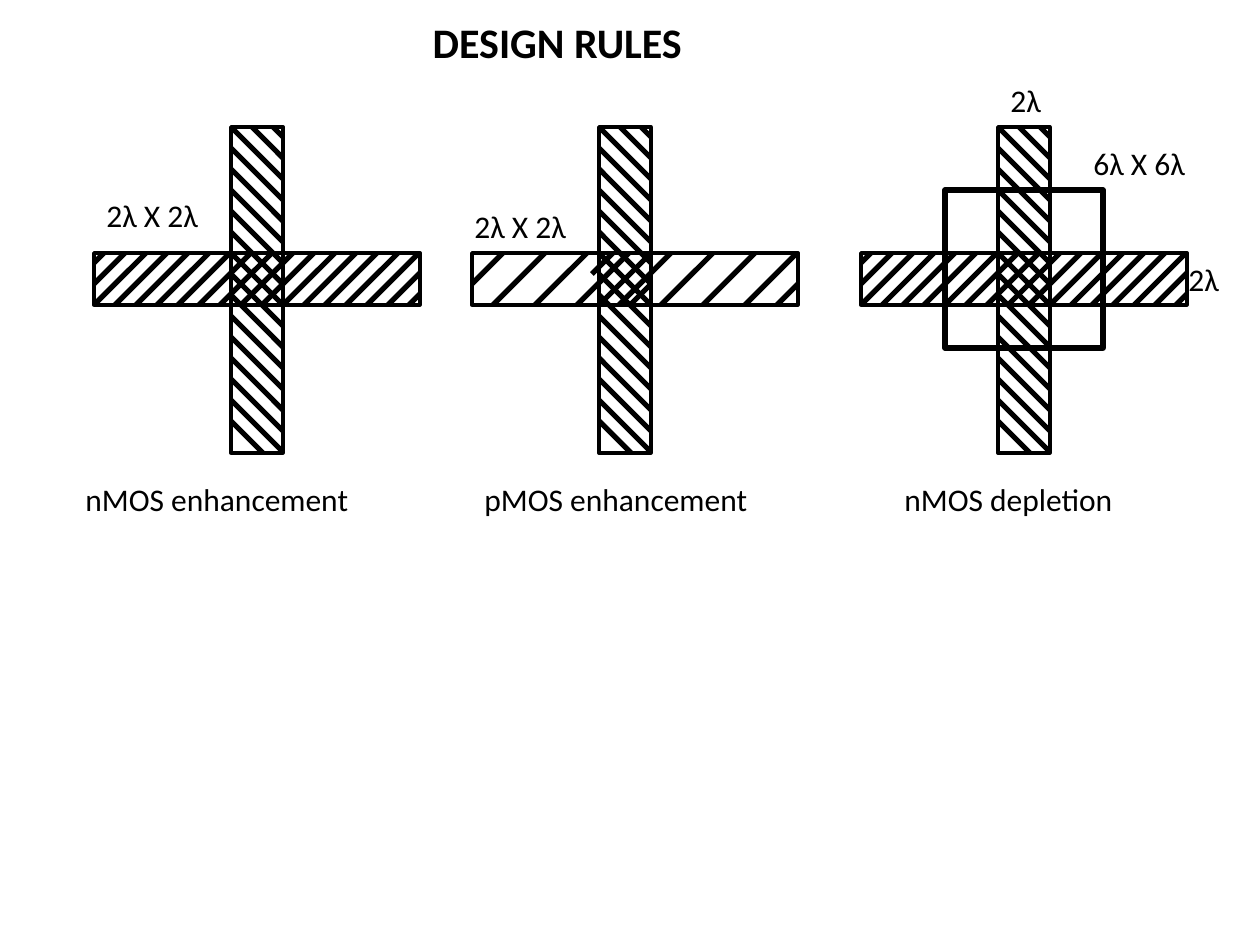
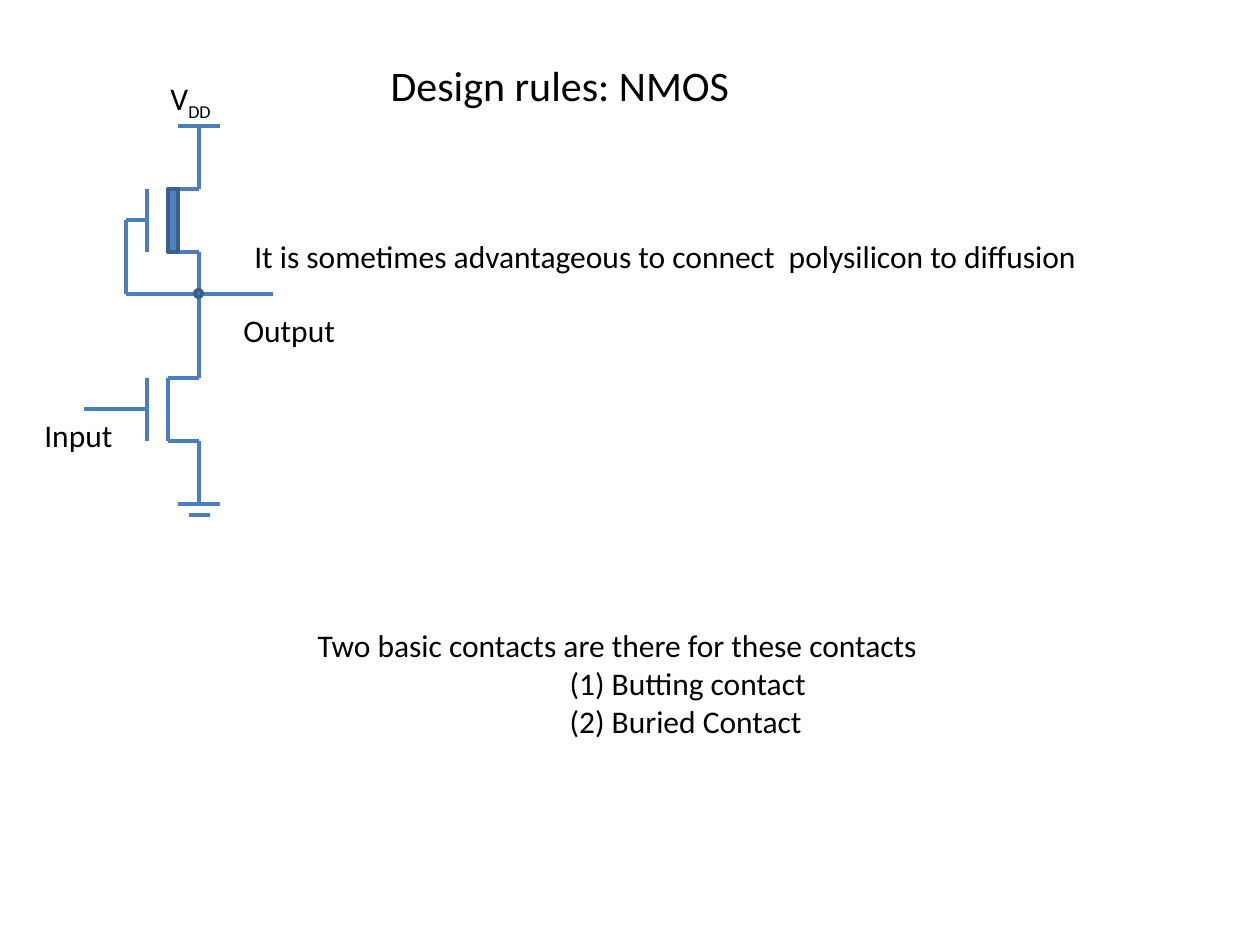
from pptx import Presentation
from pptx.dml.color import RGBColor
from pptx.enum.shapes import MSO_CONNECTOR, MSO_SHAPE
from pptx.enum.text import MSO_ANCHOR, MSO_AUTO_SIZE, PP_ALIGN
from pptx.oxml.ns import qn
from pptx.util import Inches, Pt
from lxml import etree

RECT, OVAL = MSO_SHAPE.RECTANGLE, MSO_SHAPE.OVAL
LINE = MSO_CONNECTOR.STRAIGHT
BLACK = RGBColor(0, 0, 0)
WIRE = RGBColor(0x4B, 0x7E, 0xBC)
BLUE = RGBColor(0x4F, 0x81, 0xBD)
EDGE = RGBColor(0x3A, 0x5F, 0x8C)
SCALE = Inches(1) / 126

FRAME = {"word_wrap": True, "auto_size": MSO_AUTO_SIZE.SHAPE_TO_FIT_TEXT,
         "vertical_anchor": MSO_ANCHOR.TOP}
PARA = {"alignment": PP_ALIGN.LEFT, "space_before": Pt(0), "line_spacing": 1.0}
TEXT = {"name": "Calibri", "size": Pt(18), "bold": False}
HEAD = {**TEXT, "size": Pt(24)}

# Layout bars: one hatch pitch, thickness and length for all
PITCH, THICK, LONG = 21, 52, 326
BAR_TOP, POST_TOP = 253, 127


def px(n):
    """Turn pixels into EMU."""
    return round(n * SCALE)


def put(obj, vals):
    """Set each attribute named in a dict."""
    for key, val in vals.items():
        setattr(obj, key, val)


class Pen:
    """Holds the style and the current slide."""

    def __init__(self):
        """Open an empty 10 by 7.5 inch deck."""
        self.deck = Presentation()
        put(self.deck, {"slide_width": Inches(10), "slide_height": Inches(7.5)})
        self.ink, self.width = BLACK, 3

    def page(self, layout, ink, width):
        """Start a slide and choose its line style."""
        self.slide = self.deck.slides.add_slide(self.deck.slide_layouts[layout])
        self.home = self.host = self.slide.shapes
        self.ink, self.width = ink, width

    def group(self):
        """Send the next shapes to a new group."""
        self.host = self.home.add_group_shape().shapes

    def leave(self):
        """Send the next shapes to the slide itself."""
        self.host = self.home

    def place(self, shape, box):
        """Move a shape to a pixel box."""
        put(shape, dict(zip(("left", "top", "width", "height"), map(px, box))))

    def style(self, frame, font=TEXT):
        """Format a frame and all of its text."""
        put(frame, FRAME)
        for para in frame.paragraphs:
            put(para, PARA)
            for run in para.runs:
                put(run.font, font)
                run.font.color.rgb = BLACK

    def title(self, words, box, bold=False):
        """Fill and move the title placeholder."""
        shape = self.home.title
        self.place(shape, box)
        shape.text_frame.text = words
        self.style(shape.text_frame, {**HEAD, "bold": bold})

    def body(self, lines, box, indent):
        """Fill the body: a lead line, then indented items."""
        shape = self.slide.placeholders[1]
        self.place(shape, box)
        shape.text_frame.text = "\n".join(lines)
        self.style(shape.text_frame)
        for num, para in enumerate(shape.text_frame.paragraphs):
            props = para._p.get_or_add_pPr()
            props.set("marL", str(px(indent) if num else 0))
            props.set("indent", "0")
            etree.SubElement(props, qn("a:buNone"))

    def label(self, words, box, sub=""):
        """Add a text box, with a subscript if given."""
        frame = self.home.add_textbox(*map(px, box)).text_frame
        para = frame.paragraphs[0]
        para.add_run().text = words
        if sub:
            run = para.add_run()
            run.text = sub
            run._r.get_or_add_rPr().set("baseline", "-25000")
        self.style(frame)

    def line(self, *ends):
        """Draw a line through x1, y1, x2, y2."""
        line = self.host.add_connector(LINE, *map(px, ends))
        put(line.line, {"width": Pt(self.width)})
        line.line.color.rgb = self.ink
        etree.SubElement(line._element.spPr, qn("a:effectLst"))

    def shape(self, kind, box, edge, width, fill=None):
        """Draw a preset shape, hollow unless filled."""
        shape = self.host.add_shape(kind, *map(px, box))
        shape.shadow.inherit = False
        if fill is None:
            shape.fill.background()
        else:
            shape.fill.solid()
            shape.fill.fore_color.rgb = fill
        shape.line.width = Pt(width)
        shape.line.color.rgb = edge

    def bar(self, left, marks):
        """Draw a flat bar with rising hatch lines."""
        low = BAR_TOP + THICK
        self.shape(RECT, (left, BAR_TOP, LONG, THICK), BLACK, 2)
        for mark in marks:
            foot = mark * PITCH
            x1, x2 = max(foot, 0), min(foot + THICK, LONG)
            self.line(left + x1, low - (x1 - foot), left + x2, low - (x2 - foot))

    def post(self, left):
        """Draw a grouped upright bar with falling hatch lines."""
        self.group()
        self.shape(RECT, (left, POST_TOP, THICK, LONG), BLACK, 2)
        for mark in range(-2, 15):
            head = mark * PITCH
            y1, y2 = max(head, 0), min(head + THICK, LONG)
            self.line(left + y1 - head, POST_TOP + y1,
                      left + y2 - head, POST_TOP + y2)
        self.leave()

    def mos(self, top, lead):
        """Draw a transistor without its channel, gate lead from x."""
        low, gate, back, wire = top + 63, 147, 168, 199
        self.line(gate, top, gate, low)
        self.line(lead, top + 31, gate, top + 31)
        for y in (top, low):
            self.line(back, y, wire, y)
        self.line(wire, top - 63, wire, top)
        self.line(wire, low, wire, low + 63)


def rules(pen):
    """Build the slide of transistor layouts."""
    pen.page(5, BLACK, 3)
    pen.title("DESIGN RULES", (420, 10, 420, 64), bold=True)
    full, wide = range(-2, 16), range(-1, 14, 2)
    for left, post, marks in ((94, 231, full), (472, 599, wide), (861, 998, full)):
        pen.bar(left, marks)
        pen.post(post)
    # Uneven bar end and the denser gate crossing of the pMOS
    for ends in ((777, 305, 798, 284), (599, 305, 651, 253),
                 (630, 305, 651, 284), (592, 274, 613, 253)):
        pen.line(*ends)
    pen.shape(RECT, (945, 190, 158, 158), BLACK, 3)
    for words, left, top, width in (
            ("2λ X 2λ", 94, 190, 136), ("2λ X 2λ", 462, 201, 136),
            ("6λ X 6λ", 1081, 138, 136), ("2λ", 998, 75, 63),
            ("2λ", 1176, 254, 63), ("nMOS enhancement", 73, 474, 378),
            ("pMOS enhancement", 472, 474, 346), ("nMOS depletion", 892, 474, 305)):
        pen.label(words, (left, top, width, 51))


def nmos(pen):
    """Build the slide of the inverter circuit."""
    pen.page(1, WIRE, 2.25)
    pen.title("Design rules: NMOS", (378, 53, 400, 63))
    pen.label("It is sometimes advantageous to connect  polysilicon to diffusion",
              (242, 231, 955, 51))
    pen.group()
    pen.mos(378, 84)
    pen.line(168, 378, 168, 441)
    pen.leave()
    pen.mos(189, 126)
    pen.line(126, 220, 126, 294)
    pen.line(126, 294, 273, 294)
    for x1, x2, y in ((178, 220, 126), (178, 220, 504), (189, 210, 515)):
        pen.line(x1, y, x2, y)
    pen.shape(OVAL, (195, 290, 7, 7), EDGE, 2.25, BLUE)
    pen.shape(RECT, (168, 189, 10, 63), EDGE, 2.25, BLUE)
    pen.label("V", (158, 73, 94, 51), sub="DD")
    pen.label("Input", (32, 410, 136, 51))
    pen.label("Output", (231, 305, 136, 51))
    pen.body(("Two basic contacts are there for these contacts",
              "(1) Butting contact", "(2) Buried Contact"),
             (305, 620, 809, 165), 252)


pen = Pen()
rules(pen)
nmos(pen)
pen.deck.save("out.pptx")
